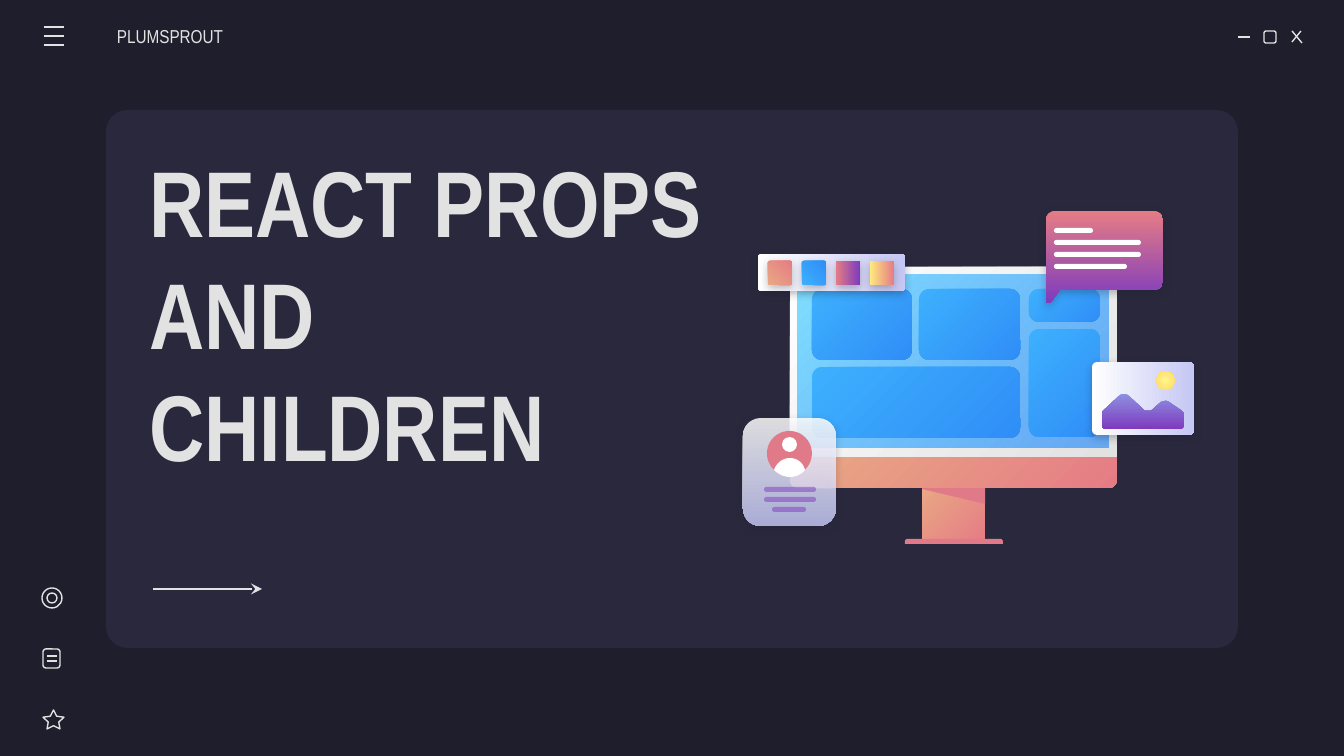
"""Build the dark title slide with its flat desktop illustration."""
from dataclasses import dataclass

from lxml.etree import SubElement
from pptx import Presentation
from pptx.dml.color import RGBColor
from pptx.enum.shapes import MSO_CONNECTOR, MSO_SHAPE
from pptx.enum.text import MSO_ANCHOR, MSO_AUTO_SIZE, PP_ALIGN
from pptx.oxml.ns import qn
from pptx.util import Pt

PX = 914400 / 134.4


@dataclass(frozen=True)
class Theme:
    font: str = "Arial Narrow"
    title_size: int = 50
    brand_size: int = 10
    line_width: float = 0.75
    back: str = "1E1E2C"
    panel: str = "29283D"
    ink: str = "E2E2E2"
    white: str = "FFFFFF"
    rose: str = "E07A88"
    violet: tuple = ("7E3BBE", 51)
    coral: tuple = ("E9A984", "E57C85", 45)
    bezel: tuple = ("FFFFFF", "E2E2E2", 45)
    screen: tuple = ("80DFFF", "318FFA", 45, 100, 69)
    blue: tuple = ("3DB0FD", "308EF7", 45)
    dusk: tuple = ("E57C85", "7E3BBE", 90)
    paper: tuple = ("FFFFFF", "C5C7F4", 90)
    glass: tuple = ("FFFFFF", "C5C7F4", 90, 83, 83)
    hills: tuple = ("8D90E1", "7E3BBE", 90)
    sun: tuple = ("FFF68E", "FFD966", None)
    dawn: tuple = ("FFEA7D", "E57C85", 90)


T = Theme()
ROUND, OVAL = MSO_SHAPE.ROUNDED_RECTANGLE, MSO_SHAPE.OVAL
RECT, TABBED = MSO_SHAPE.RECTANGLE, MSO_SHAPE.ROUND_2_SAME_RECTANGLE

TITLE = ("REACT PROPS AND CHILDREN", (136, 194, 601, 237))
BRAND = ("PLUMSPROUT", (117, 16, 157, 40))
PANEL = (106, 110, 1132, 538)

NECK_SHADE = [(922, 485), (922, 489), (985, 504), (985, 485)]
TILES = [(812, 289, 100, 71), (812, 367, 208, 71), (919, 289, 101, 71),
         (1029, 289, 71, 33), (1029, 329, 71, 108)]
BUBBLE = [(1055, 211), (1050, 211, 1046, 215, 1046, 220), (1046, 301),
          (1046, 303, 1049, 304, 1051, 302), (1060, 290), (1154, 290),
          (1159, 290, 1163, 286, 1163, 281), (1163, 220),
          (1163, 215, 1159, 211, 1154, 211)]
MESSAGE_WIDTHS = [39, 87, 87, 73]
SHOULDERS = [(790, 458), (782, 458, 776, 464, 774, 470),
             (778, 474, 784, 477, 790, 477), (796, 477, 802, 474, 805, 470),
             (804, 464, 798, 458, 790, 458)]
PROFILE_BARS = [(764, 52), (764, 52), (772, 34)]
MOUNTAINS = [(1124, 394), (1122, 394, 1121, 394, 1120, 395), (1103, 411),
             (1102, 412, 1102, 413, 1102, 414), (1102, 425),
             (1102, 427, 1104, 429, 1106, 429), (1179, 429),
             (1182, 429, 1184, 427, 1184, 425), (1184, 415),
             (1184, 413, 1183, 412, 1182, 411), (1169, 402),
             (1168, 401, 1167, 401, 1165, 401),
             (1164, 401, 1162, 402, 1161, 402), (1152, 410),
             (1151, 411, 1149, 411, 1148, 411),
             (1146, 411, 1145, 411, 1144, 410), (1128, 395),
             (1127, 394, 1125, 394, 1124, 394)]
SWATCHES = [T.coral, T.blue, T.dusk, T.dawn]

ICON_LINES = [(1238, 37, 1250, 37), (1292, 31, 1302, 43), (1301, 31, 1292, 42),
              (44, 27, 64, 27), (44, 36, 64, 36), (44, 45, 64, 45),
              (47, 656, 57, 656), (47, 661, 57, 661)]
ICON_SHAPES = [(ROUND, (1264, 31, 12, 12), [0.17]), (ROUND, (43, 649, 17, 19), [0.17]),
               (MSO_SHAPE.STAR_5_POINT, (43, 710, 21, 19), [0.25]),
               (OVAL, (42, 588, 20, 20), []), (OVAL, (47, 593, 10, 10), [])]
ARROW = (153, 589, 262, 589)


def emu(values):
    return [round(v * PX) for v in values]


def rgb(color):
    return RGBColor.from_string(color)


def set_alpha(sp, *percents):
    for clr, percent in zip(sp._element.spPr.iter(qn("a:srgbClr")), percents):
        if percent < 100:
            SubElement(clr, qn("a:alpha"), val=str(percent * 1000))


def paint(sp, fill):
    sp.shadow.inherit = False
    sp.line.fill.background()
    if isinstance(fill, str) or len(fill) == 2:
        color, alpha = (fill, 100) if isinstance(fill, str) else fill
        sp.fill.solid()
        sp.fill.fore_color.rgb = rgb(color)
        set_alpha(sp, alpha)
        return sp
    start, end, angle, *alphas = fill
    sp.fill.gradient()
    for stop, color in zip(sp.fill.gradient_stops, (start, end)):
        stop.color.rgb = rgb(color)
    if angle is None:
        grad = sp._element.spPr.find(qn("a:gradFill"))
        grad.remove(grad.find(qn("a:lin")))
        circle = SubElement(grad, qn("a:path"), path="circle")
        SubElement(circle, qn("a:fillToRect"), l="50000", t="50000", r="50000", b="50000")
    else:
        sp.fill.gradient_angle = 360 - angle
    set_alpha(sp, *alphas)
    return sp


def cast_shadow(sp, alpha=27):
    effects = sp._element.spPr.find(qn("a:effectLst"))
    outer = SubElement(effects, qn("a:outerShdw"), blurRad=str(Pt(4.5)), dist=str(Pt(1.5)),
                       dir="5400000", algn="bl", rotWithShape="0")
    clr = SubElement(outer, qn("a:srgbClr"), val=T.back)
    SubElement(clr, qn("a:alpha"), val=str(alpha * 1000))


def add_shape(s, kind, box, fill, adjust=()):
    sp = s.shapes.add_shape(kind, *emu(box))
    for i, value in enumerate(adjust):
        sp.adjustments[i] = value
    return paint(sp, fill)


def add_turned(s, box, fill):
    x, y, w, h = box
    sp = add_shape(s, ROUND, (x + (w - h) / 2, y + (h - w) / 2, h, w), fill, [0.07])
    sp.rotation = 270
    cast_shadow(sp)


def add_outline(s, segments, fill, steps=8):
    points = [segments[0]]
    for seg in segments[1:]:
        if len(seg) == 2:
            points.append(seg)
            continue
        ctrl = [points[-1], seg[:2], seg[2:4], seg[4:]]
        for t in (i / steps for i in range(1, steps + 1)):
            weights = ((1 - t) ** 3, 3 * t * (1 - t) ** 2, 3 * t * t * (1 - t), t ** 3)
            points.append(tuple(sum(w * c[k] for w, c in zip(weights, ctrl)) for k in (0, 1)))
    fb = s.shapes.build_freeform(*emu(points[0]), scale=1.0)
    fb.add_line_segments([emu(p) for p in points[1:]], close=True)
    return paint(fb.convert_to_shape(), fill)


def set_line(sp):
    sp.line.color.rgb = rgb(T.ink)
    sp.line.width = Pt(T.line_width)


def add_line(s, ends, head=None):
    cn = s.shapes.add_connector(MSO_CONNECTOR.STRAIGHT, *emu(ends))
    set_line(cn)
    if head:
        SubElement(cn.line._get_or_add_ln(), qn("a:tailEnd"), type=head)
    SubElement(cn._element.spPr, qn("a:effectLst"))


def set_text(sp, content, size, bold, left_inset):
    text, box = content
    sp.left, sp.top, sp.width, sp.height = emu(box)
    tf = sp.text_frame
    tf.text = text
    tf.word_wrap, tf.auto_size = True, MSO_AUTO_SIZE.NONE
    tf.vertical_anchor = MSO_ANCHOR.MIDDLE
    tf.margin_left, tf.margin_top, tf.margin_right, tf.margin_bottom = left_inset, Pt(7.2), Pt(7.2), Pt(7.2)
    p = tf.paragraphs[0]
    p.alignment, p.line_spacing = PP_ALIGN.LEFT, 1.0
    font = p.runs[0].font
    font.name, font.size, font.bold = T.font, Pt(size), bold
    font.color.rgb = rgb(T.ink)


def draw_desktop(s):
    add_shape(s, RECT, (922, 485, 63, 58), T.coral)
    add_shape(s, TABBED, (905, 539, 98, 5), T.rose, [0.5, 0])
    add_outline(s, NECK_SHADE, T.rose)
    add_shape(s, TABBED, (790, 456, 327, 32), T.coral, [0, 0.25])
    add_shape(s, TABBED, (790, 267, 327, 190), T.bezel, [0.04, 0])
    add_shape(s, RECT, (798, 275, 311, 173), T.screen)
    for box in TILES:
        add_shape(s, ROUND, box, T.blue, [10 / min(box[2:])])


def draw_cards(s):
    cast_shadow(add_outline(s, BUBBLE, T.dusk))
    for i, width in enumerate(MESSAGE_WIDTHS):
        add_shape(s, ROUND, (1054, 228 + 12 * i, width, 5), T.white, [0.5])
    cast_shadow(add_shape(s, ROUND, (743, 418, 93, 108), T.glass, [0.19]), 26)
    add_shape(s, OVAL, (767, 431, 45, 45), T.rose)
    add_shape(s, OVAL, (782, 437, 15, 15), T.white)
    add_outline(s, SHOULDERS, T.white)
    for i, (x, width) in enumerate(PROFILE_BARS):
        add_shape(s, ROUND, (x, 487 + 10 * i, width, 5), T.violet, [0.5])
    add_turned(s, (1092, 362, 102, 73), T.paper)
    add_outline(s, MOUNTAINS, T.hills)
    add_shape(s, OVAL, (1156, 371, 19, 19), T.sun)
    add_turned(s, (758, 254, 147, 37), T.paper)
    for i, fill in enumerate(SWATCHES):
        add_turned(s, (768 + 34 * i, 261, 24, 24), fill)


def draw_icons(s):
    for kind, box, adjust in ICON_SHAPES:
        sp = add_shape(s, kind, box, T.back, adjust)
        sp.fill.background()
        set_line(sp)
    for ends in ICON_LINES:
        add_line(s, ends)
    add_line(s, ARROW, "stealth")


def main():
    prs = Presentation()
    prs.slide_width, prs.slide_height = emu((1344, 756))
    s = prs.slides.add_slide(prs.slide_layouts[5])
    s.background.fill.solid()
    s.background.fill.fore_color.rgb = rgb(T.back)
    panel = add_shape(s, ROUND, PANEL, T.panel, [0.04])
    s.shapes._spTree.insert(2, panel._element)
    set_text(s.shapes.title, TITLE, T.title_size, True, Pt(7.2))
    set_text(s.shapes.add_textbox(0, 0, 0, 0), BRAND, T.brand_size, False, 0)
    draw_desktop(s)
    draw_cards(s)
    draw_icons(s)
    prs.save("out.pptx")


if __name__ == "__main__":
    main()
